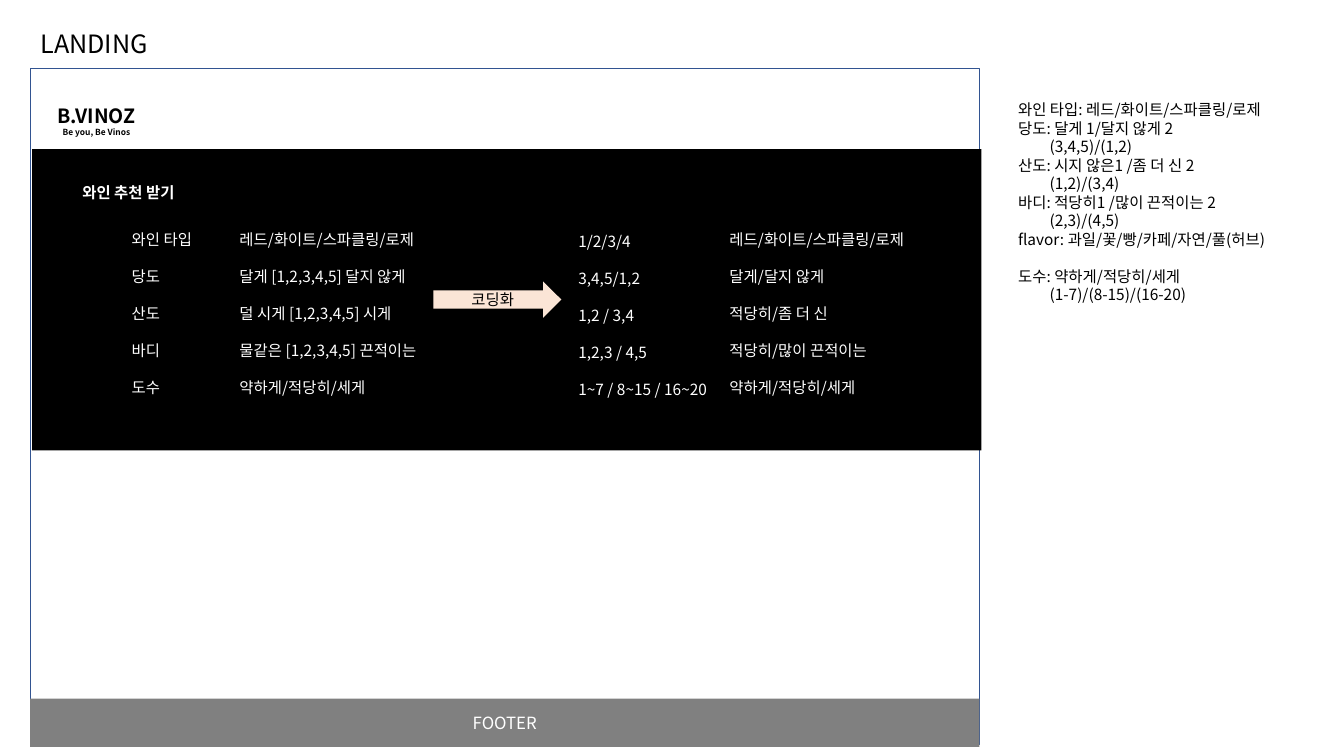
from pptx import Presentation
from pptx.dml.color import RGBColor
from pptx.enum import shapes, text
from pptx.oxml.ns import qn
from pptx.util import Pt

FONT = "Noto Sans CJK KR"
COLORS = {
    "black": "000000",
    "white": "FFFFFF",
    "gray": "808080",
    "peach": "FBE5D6",
    "blue": "325491",
}
LEFT, CENTER = text.PP_ALIGN.LEFT, text.PP_ALIGN.CENTER
TOP, MIDDLE = text.MSO_ANCHOR.TOP, text.MSO_ANCHOR.MIDDLE

# left, top, width, one line per wine attribute
COLUMNS = [
    (87, 147.6, 73, ["와인 타입", "당도", "산도", "바디", "도수"]),
    (164, 147.6, 161, ["레드/화이트/스파클링/로제", "달게 [1,2,3,4,5] 달지 않게",
                       "덜 시게 [1,2,3,4,5] 시게", "물같은 [1,2,3,4,5] 끈적이는",
                       "약하게/적당히/세게"]),
    (406, 149, 121, ["1/2/3/4", "3,4,5/1,2", "1,2 / 3,4", "1,2,3 / 4,5",
                     "1~7 / 8~15 / 16~20"]),
    (514, 147.6, 161, ["레드/화이트/스파클링/로제", "달게/달지 않게", "적당히/좀 더 신",
                       "적당히/많이 끈적이는", "약하게/적당히/세게"]),
]

NOTES = [
    "와인 타입: 레드/화이트/스파클링/로제",
    "당도: 달게 1/달지 않게 2",
    "(3,4,5)/(1,2)",
    "산도: 시지 않은1 /좀 더 신 2",
    "(1,2)/(3,4)",
    "바디: 적당히1 /많이 끈적이는 2",
    "(2,3)/(4,5)",
    "flavor: 과일/꽃/빵/카페/자연/풀(허브)",
    "도수: 약하게/적당히/세게",
    "(1-7)/(8-15)/(16-20)",
]


def rgb(name):
    return RGBColor.from_string(COLORS[name])


def place(shape, left, top, width, height):
    shape.left, shape.top = Pt(left), Pt(top)
    shape.width, shape.height = Pt(width), Pt(height)


def write(shape, lines, size, color, align=LEFT, anchor=TOP, bold=False, spacing=1.0):
    """Fill a shape with one paragraph per line and return the paragraphs."""
    frame = shape.text_frame
    frame.text = "\n".join(lines)
    frame.word_wrap = True
    frame.auto_size = text.MSO_AUTO_SIZE.NONE
    frame.vertical_anchor = anchor
    for para in frame.paragraphs:
        para.alignment = align
        para.line_spacing = spacing
        para.space_before = Pt(0)
        para.font.name = FONT
        para.font.size = Pt(size)
        para.font.bold = bold
        para.font.color.rgb = rgb(color)
    return frame.paragraphs


def add_label(page, left, top, width, height, lines, size, color, **style):
    box = page.shapes.add_textbox(Pt(left), Pt(top), Pt(width), Pt(height))
    return write(box, lines, size, color, **style)


def add_block(page, kind, left, top, width, height, fill=None, line=None):
    block = page.shapes.add_shape(kind, Pt(left), Pt(top), Pt(width), Pt(height))
    block.shadow.inherit = False
    if fill:
        block.fill.solid()
        block.fill.fore_color.rgb = rgb(fill)
    else:
        block.fill.background()
    if line:
        block.line.color.rgb = rgb(line)
        block.line.width = Pt(1)
    else:
        block.line.fill.background()
    return block


def add_notes(body):
    place(body, 720, 68, 240, 154)
    for para in write(body, NOTES, 11, "black"):
        props = para._p.get_or_add_pPr()
        props.set("marL", str(Pt(22.5) if para.text.startswith("(") else 0))
        props.set("indent", "0")
        props.get_or_change_to_buNone() if hasattr(props, "get_or_change_to_buNone") \
            else props.insert_element_before(
                props.makeelement(qn("a:buNone"), {}), "a:tabLst", "a:defRPr", "a:extLst")
        if para.text.startswith("도수"):
            para.space_before = Pt(13.2)


def main():
    deck = Presentation()
    deck.slide_width, deck.slide_height = Pt(960), Pt(540)
    page = deck.slides.add_slide(deck.slide_layouts[1])
    rect = shapes.MSO_SHAPE.RECTANGLE

    title, body = page.placeholders
    place(title, 21.6, 16.5, 115, 29)
    write(title, ["LANDING"], 18, "black")
    add_notes(body)

    add_block(page, rect, 21.6, 49, 678, 483, line="blue")
    name, slogan = add_label(page, 27.4, 70.6, 83, 31, ["B.VINOZ", "Be you, Be Vinos"],
                             14, "black", align=CENTER, bold=True)
    slogan.font.size = Pt(6)

    add_block(page, rect, 23, 106.5, 678, 215.3, fill="black")
    footer = add_block(page, rect, 21.6, 499, 678, 34.5, fill="gray")
    write(footer, ["FOOTER"], 12, "white", align=CENTER, anchor=MIDDLE)

    add_label(page, 46.8, 127.4, 90, 21, ["와인 추천 받기"], 11, "white",
              align=CENTER, bold=True)
    for left, top, width, lines in COLUMNS:
        add_label(page, left, top, width, 136, lines, 11, "white", spacing=2.0)

    arrow = add_block(page, shapes.MSO_SHAPE.RIGHT_ARROW, 309.6, 201, 91.4, 26, fill="peach")
    write(arrow, ["코딩화"], 11, "black", align=CENTER, anchor=MIDDLE)

    deck.save("out.pptx")


if __name__ == "__main__":
    main()
